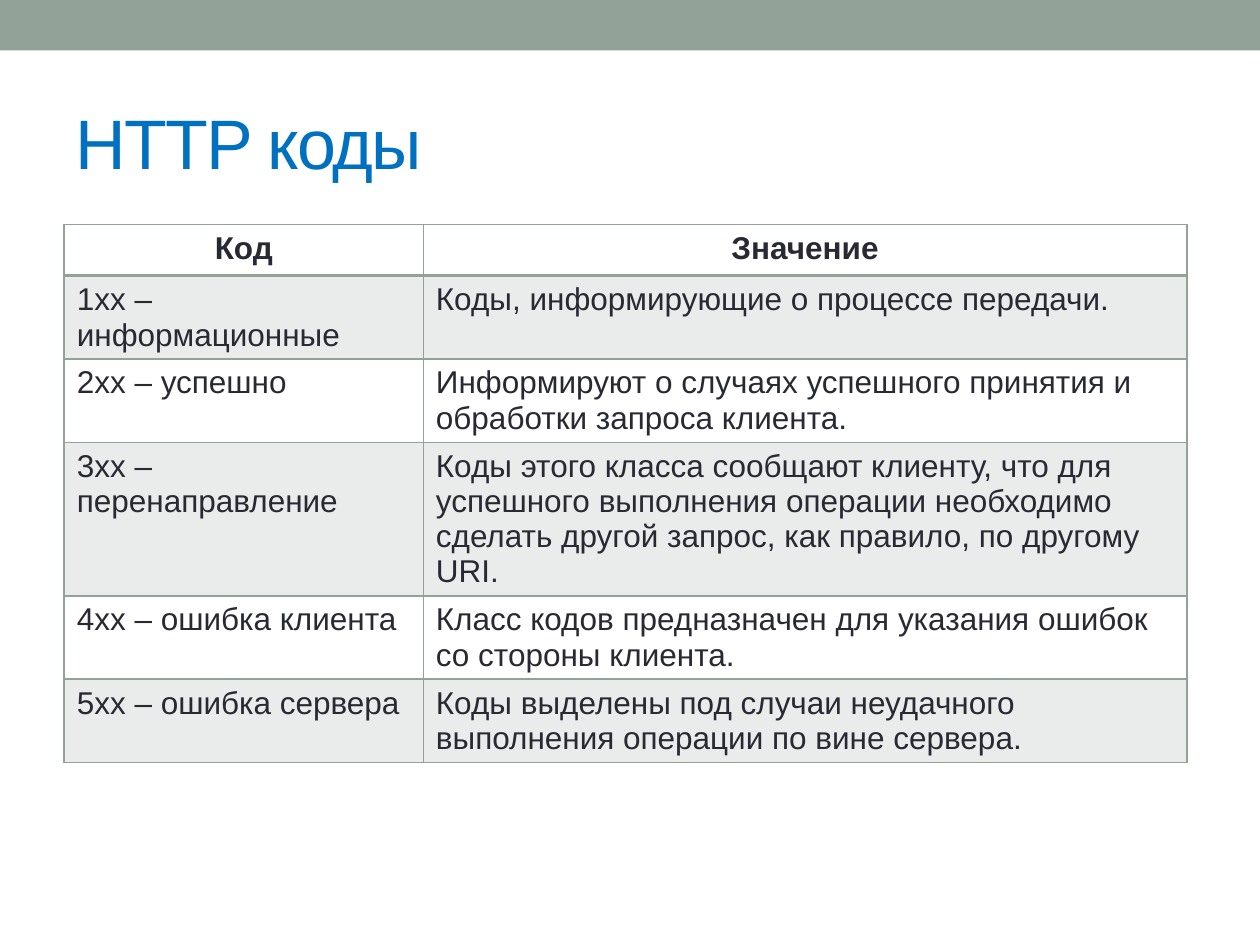
from lxml import etree
from pptx import Presentation
from pptx.dml.color import RGBColor
from pptx.enum.shapes import MSO_SHAPE
from pptx.enum.text import MSO_ANCHOR, PP_ALIGN
from pptx.oxml.ns import qn
from pptx.util import Inches, Pt

RECTANGLE = MSO_SHAPE.RECTANGLE
MIDDLE = MSO_ANCHOR.MIDDLE
LEFT, CENTER = PP_ALIGN.LEFT, PP_ALIGN.CENTER
TITLE_ONLY = 5
FONT = "Arial"
SAGE, BLUE, INK = "93A299", "0070C0", "292934"
BAND_OPACITY = 20
ROW_HEIGHT = 0.41
COLUMN_WIDTHS = (2.85, 6.06)

ROWS = [
    ("Код", "Значение"),
    ("1xx – информационные", "Коды, информирующие о процессе передачи."),
    ("2xx – успешно",
     "Информируют о случаях успешного принятия и обработки запроса клиента."),
    ("3xx – перенаправление",
     "Коды этого класса сообщают клиенту, что для успешного выполнения "
     "операции необходимо сделать другой запрос, как правило, по другому URI."),
    ("4xx – ошибка клиента",
     "Класс кодов предназначен для указания ошибок со стороны клиента."),
    ("5xx – ошибка сервера",
     "Коды выделены под случаи неудачного выполнения операции по вине сервера."),
]


def color(value):
    """Turn a hex string into a colour."""
    return RGBColor.from_string(value)


def format_text(paragraph, size, text_color, alignment=LEFT, bold=False):
    """Format a paragraph and its runs."""
    paragraph.alignment = alignment
    for run in paragraph.runs:
        run.font.name = FONT
        run.font.size = Pt(size)
        run.font.bold = bold
        run.font.color.rgb = color(text_color)


def add_banner(slide, left, top, width, height):
    """Draw the plain strip along the top edge."""
    banner = slide.shapes.add_shape(
        RECTANGLE, Inches(left), Inches(top), Inches(width), Inches(height))
    banner.shadow.inherit = False
    banner.fill.solid()
    banner.fill.fore_color.rgb = color(SAGE)
    banner.line.fill.background()


def place_title(slide, text, left, top, width, height):
    """Move and format the title placeholder."""
    title = slide.shapes.title
    title.left, title.top = Inches(left), Inches(top)
    title.width, title.height = Inches(width), Inches(height)
    title.text_frame.text = text
    title.text_frame.vertical_anchor = MIDDLE
    paragraph = title.text_frame.paragraphs[0]
    format_text(paragraph, 40, BLUE)
    for run in paragraph.runs:
        run.font._element.set("spc", "-100")


def fill_cell(cell, banded):
    """Give banded cells a translucent tint and leave the others clear."""
    if not banded:
        cell.fill.background()
        return
    cell.fill.solid()
    cell.fill.fore_color.rgb = color(SAGE)
    tint = cell._tc.tcPr.find(".//" + qn("a:srgbClr"))
    etree.SubElement(tint, qn("a:alpha"), val=str(BAND_OPACITY * 1000))


def set_borders(cell, top, bottom):
    """Outline a cell; top and bottom are line widths in points."""
    properties = cell._tc.get_or_add_tcPr()
    widths = {"a:lnL": 1, "a:lnR": 1, "a:lnT": top, "a:lnB": bottom}
    for index, (side, width) in enumerate(widths.items()):
        line = etree.Element(qn(side), w=str(Pt(width)))
        fill = etree.SubElement(line, qn("a:solidFill"))
        etree.SubElement(fill, qn("a:srgbClr"), val=SAGE)
        properties.insert(index, line)


def add_code_table(slide, rows, left, top, width, height):
    """Add the table of response codes with a bold header row."""
    frame = slide.shapes.add_table(
        len(rows), len(COLUMN_WIDTHS),
        Inches(left), Inches(top), Inches(width), Inches(height))
    table = frame.table
    for column, column_width in zip(table.columns, COLUMN_WIDTHS):
        column.width = Inches(column_width)
    for row_index, texts in enumerate(rows):
        table.rows[row_index].height = Inches(ROW_HEIGHT)
        header = row_index == 0
        for column_index, text in enumerate(texts):
            cell = table.cell(row_index, column_index)
            cell.text_frame.text = text
            format_text(cell.text_frame.paragraphs[0], 18, INK,
                        CENTER if header else LEFT, header)
            fill_cell(cell, banded=row_index % 2 == 1)
            set_borders(cell, top=2 if row_index == 1 else 1,
                        bottom=2 if header else 1)
    frame.height = Inches(height)


def main():
    """Build and save the presentation."""
    presentation = Presentation()
    presentation.slide_width = Inches(10)
    presentation.slide_height = Inches(7.5)
    slide = presentation.slides.add_slide(presentation.slide_layouts[TITLE_ONLY])
    add_banner(slide, 0, 0, 10, 0.4)
    place_title(slide, "HTTP коды", 0.5, 0.58, 9, 1.08)
    add_code_table(slide, ROWS, 0.51, 1.78, sum(COLUMN_WIDTHS), 4.51)
    presentation.save("out.pptx")


main()
